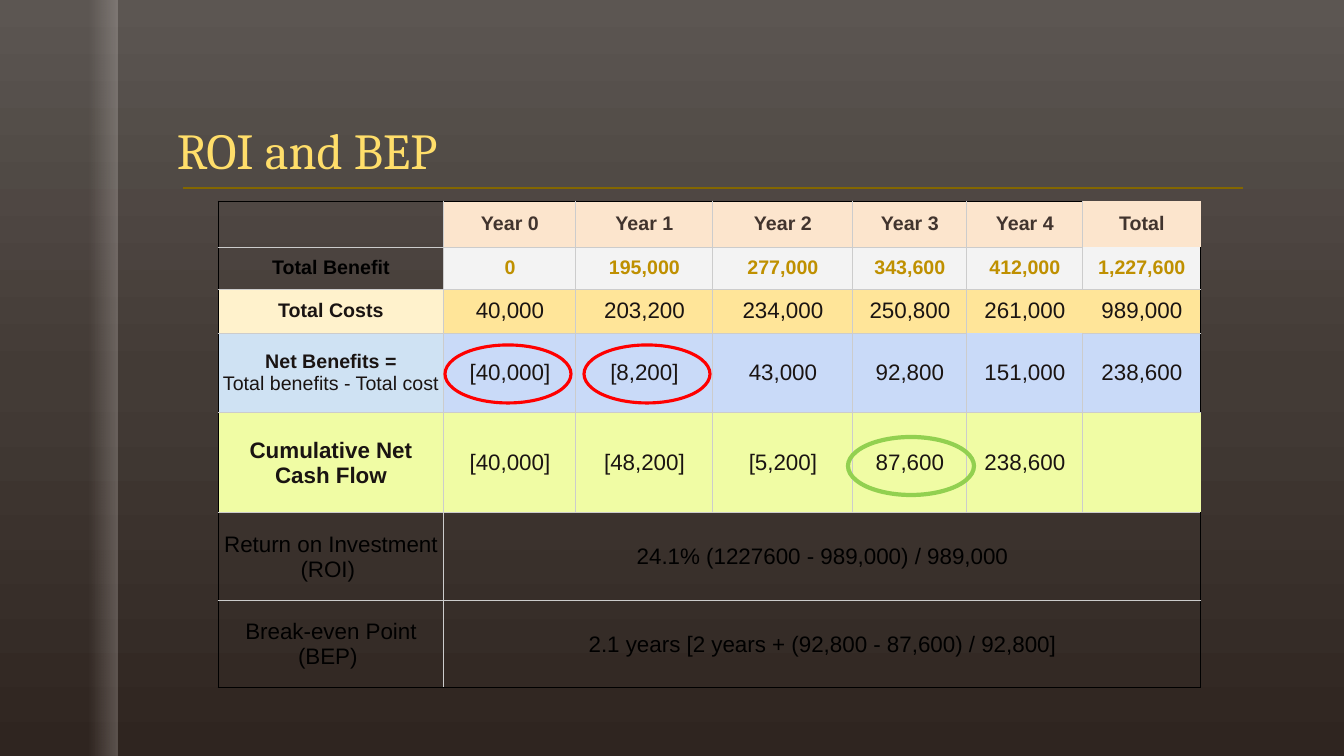
import pptx
import pptx.util
import pptx.dml.color
import pptx.enum.shapes
import pptx.enum.text
import pptx.oxml.ns
from lxml import etree

SCALE = 914400 / 100.8
qn = pptx.oxml.ns.qn
Pt = pptx.util.Pt
PP_ALIGN = pptx.enum.text.PP_ALIGN
ANCHOR = pptx.enum.text.MSO_ANCHOR
MSO_SHAPE = pptx.enum.shapes.MSO_SHAPE


def px(*lengths):
    return [round(n * SCALE) for n in lengths]


def rgb(value):
    return pptx.dml.color.RGBColor.from_string(value)


prs = pptx.Presentation()
prs.slide_width, prs.slide_height = px(1344, 756)
s = prs.slides.add_slide(prs.slide_layouts[6])

band = s.shapes.add_shape(MSO_SHAPE.RECTANGLE, *px(0, 0, 117, 756))
band.shadow.inherit = False
band.line.fill.background()

gradients = [
    (s.background.fill, s.element, 90,
     [(0, "5C5652", 100), (50, "433B36", 100), (100, "2F2520", 100)]),
    (band.fill, band.element, 0,
     [(0, "E5DEDB", 0), (75, "E5DEDB", 0), (100, "E5DEDB", 25)]),
]
for fill, element, angle, stops in gradients:
    fill.gradient()
    grad = next(element.iter(qn("a:gradFill")))
    stop_list = grad.find(qn("a:gsLst"))
    for old in list(stop_list):
        stop_list.remove(old)
    for pos, color, alpha in stops:
        gs = etree.SubElement(stop_list, qn("a:gs"), pos=str(pos * 1000))
        clr = etree.SubElement(gs, qn("a:srgbClr"), val=color)
        etree.SubElement(clr, qn("a:alpha"), val=str(alpha * 1000))
    grad.find(qn("a:lin")).set("ang", str(angle * 60000))

rule = s.shapes.add_connector(pptx.enum.shapes.MSO_CONNECTOR.STRAIGHT, *px(183, 188, 1243, 188))
rule.line.color.rgb = rgb("836700")
rule.line.width = Pt(1)
etree.SubElement(rule.element.spPr, qn("a:effectLst"))

title = s.shapes.add_textbox(*px(167, 42, 1084, 185 - 42))
tf = title.text_frame
tf.word_wrap = True
tf.vertical_anchor = ANCHOR.BOTTOM
p = tf.paragraphs[0]
p.line_spacing = 0.9
r = p.add_run()
r.text = "ROI and BEP"
r.font.name = "Cambria"
r.font.size = Pt(36)
r.font.color.rgb = rgb("FFDE6A")

col_widths = [226, 132, 137, 140, 114, 116, 118]
row_heights = [46, 42, 44, 80, 100, 88, 87]
labels = [
    [],
    [("Total Benefit", 14, True)],
    [("Total Costs", 14, True)],
    [("Net Benefits =", 14, True), ("Total benefits - Total cost", 14, False)],
    [("Cumulative Net", 16, True), ("Cash Flow", 16, True)],
    [("Return on Investment (ROI) ", 16, False)],
    [("Break-even Point (BEP) ", 16, False)],
]
values = [
    ["Year 0", "Year 1", "Year 2", "Year 3", "Year 4", "Total"],
    ["0", "195,000", "277,000", "343,600", "412,000", "1,227,600"],
    ["40,000", "203,200", "234,000", "250,800", "261,000", "989,000"],
    ["[40,000]", "[8,200]", "43,000", "92,800", "151,000", "238,600"],
    ["[40,000]", "[48,200]", "[5,200]", "87,600", "238,600", ""],
    ["24.1% (1227600 - 989,000) / 989,000"],
    ["2.1 years [2 years + (92,800 - 87,600) / 92,800]"],
]
label_fills = [None, None, "FFF2CC", "CFE2F3", "F0FCA4", None, None]
value_fills = ["FCE5CD", "F3F3F3", "FFE599", "C9DAF8", "F0FCA4", None, None]
label_colors = ["000000", "000000", "1A1412", "1A1412", "1A1412", "000000", "000000"]
value_colors = ["41342E", "BF9000", "1A1412", "1A1412", "1A1412", "000000", "000000"]
bare_sides = {(0, 6): "LRTB", (2, 5): "LRTB", (4, 6): "LRT"}
sides = {"L": (0, -1, "R"), "R": (0, 1, "L"), "T": (-1, 0, "B"), "B": (1, 0, "T")}

frame = s.shapes.add_table(7, 7, *px(218, 201, sum(col_widths), sum(row_heights)))
table = frame.table
table.first_row = False
table.horz_banding = False
table._tbl.tblPr[0].text = "{2D5ABB26-0587-4C30-8999-92F81FD0307C}"
for column, width in zip(table.columns, px(*col_widths)):
    column.width = width
for row, height in zip(table.rows, px(*row_heights)):
    row.height = height
for i in (5, 6):
    table.cell(i, 1).merge(table.cell(i, 6))

for i in range(7):
    for j in range(7):
        cell = table.cell(i, j)
        if cell.is_spanned:
            continue
        cell.margin_left, cell.margin_right, cell.margin_top, cell.margin_bottom = px(2, 2, 1, 1)
        cell.vertical_anchor = ANCHOR.MIDDLE
        last = j + cell.span_width - 1 if cell.is_merge_origin else j
        outer = {"L": j == 0, "R": last == 6, "T": i == 0, "B": i == 6}
        tcPr = cell._tc.get_or_add_tcPr()
        for side, (di, dj, facing) in sides.items():
            if side in bare_sides.get((i, j), "") or facing in bare_sides.get((i + di, j + dj), ""):
                continue
            ln = etree.SubElement(tcPr, qn("a:ln" + side), w=str(Pt(0.75)))
            solid = etree.SubElement(ln, qn("a:solidFill"))
            etree.SubElement(solid, qn("a:srgbClr"), val="000000" if outer[side] else "CCCCCC")

        if j == 0:
            lines, fill, color = labels[i], label_fills[i], label_colors[i]
        else:
            lines = [(values[i][j - 1], 14 if i < 2 else 16, i < 2)]
            fill, color = value_fills[i], value_colors[i]
        if fill:
            cell.fill.solid()
            cell.fill.fore_color.rgb = rgb(fill)
        else:
            cell.fill.background()
        p = cell.text_frame.paragraphs[0]
        p.alignment = PP_ALIGN.CENTER
        for n, (text, size, bold) in enumerate(lines):
            if not text:
                continue
            if n:
                p.add_line_break()
            r = p.add_run()
            r.text = text
            r.font.name = "Arial"
            r.font.size = Pt(size)
            r.font.bold = bold
            r.font.color.rgb = rgb(color)

losses = s.shapes.add_group_shape()
circles = [
    (losses, 445, 345, "FF0000", 2.25),
    (losses, 584, 345, "FF0000", 2.25),
    (s, 848, 437, "92D050", 3),
]
for parent, left, top, color, width in circles:
    sp = parent.shapes.add_shape(MSO_SHAPE.OVAL, *px(left, top, 126, 58))
    sp.shadow.inherit = False
    sp.fill.background()
    sp.line.color.rgb = rgb(color)
    sp.line.width = Pt(width)

prs.save("out.pptx")
